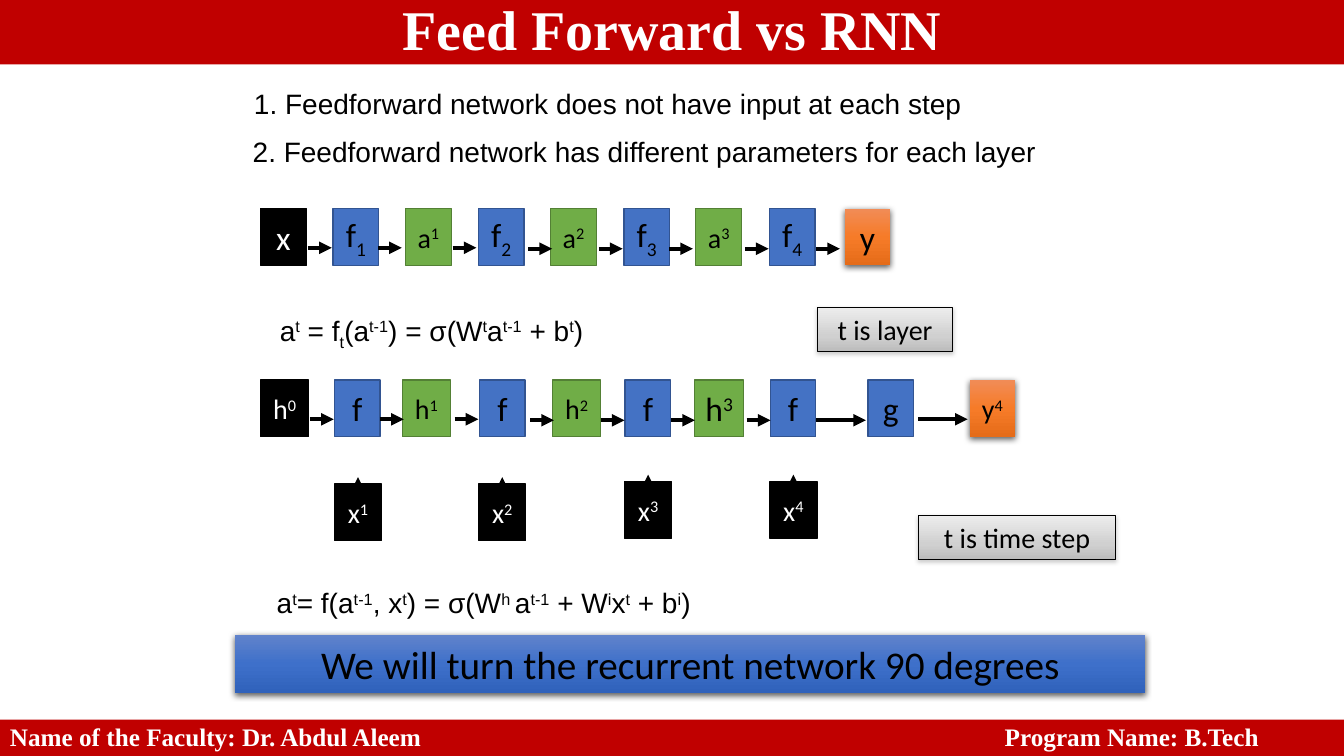
from lxml import etree
from pptx import Presentation
from pptx.dml.color import RGBColor
from pptx.enum import shapes, text
from pptx.oxml.ns import qn
from pptx.util import Pt

COLORS = {
    "black": "000000", "white": "FFFFFF", "red": "C00000",
    "blue": "4472C4", "blue edge": "325491",
    "green": "70AD47", "green edge": "538035", "gray shadow": "808080",
}
# Gradient stops run from top to bottom: position in percent, colour
GRADIENTS = {
    "orange": [(0, "F18C57"), (50, "F67B28"), (100, "E56C19")],
    "silver": [(0, "EDEDED"), (65, "D0D0D0"), (100, "BCBCBC")],
    "deep blue": [(0, "6183CB"), (50, "3E70CA"), (100, "3062BB")],
}
# Shadow: colour, opacity in percent, blur and distance in points
SHADOWS = {
    "orange": ("black", 63, 4.5, 1.5),
    "deep blue": ("black", 63, 4.5, 1.5),
    "silver": ("gray shadow", 38, 3.1, 1.6),
}
EDGES = {"black": ("black", 1), "blue": ("blue edge", 1),
         "green": ("green edge", 1), "silver": ("black", 0.75)}
BASELINES = {"^": "30000", "_": "-25000"}
CENTER, LEFT = text.PP_ALIGN.CENTER, text.PP_ALIGN.LEFT
MIDDLE, TOP = text.MSO_ANCHOR.MIDDLE, text.MSO_ANCHOR.TOP


def add_box(words, place, fill, size, font="Calibri", color="black",
            align=CENTER, anchor=MIDDLE):
    """Add a rectangle; '|' parts its runs, '^' raises and '_' lowers a run."""
    box = page.shapes.add_shape(shapes.MSO_SHAPE.RECTANGLE, *map(Pt, place))
    box.shadow.inherit = False
    properties = box._element.spPr
    if fill in GRADIENTS:
        box.fill.gradient()
        box.fill.gradient_angle = 270
        stops = properties.find(qn("a:gradFill")).find(qn("a:gsLst"))
        for stop in list(stops):
            stops.remove(stop)
        for position, shade in GRADIENTS[fill]:
            stop = etree.SubElement(stops, qn("a:gs"), pos=str(position * 1000))
            etree.SubElement(stop, qn("a:srgbClr"), val=shade)
        shade, opacity, blur, distance = SHADOWS[fill]
        shadow = etree.SubElement(
            properties.find(qn("a:effectLst")), qn("a:outerShdw"),
            blurRad=str(Pt(blur)), dist=str(Pt(distance)), dir="5400000", rotWithShape="0")
        tint = etree.SubElement(shadow, qn("a:srgbClr"), val=COLORS[shade])
        etree.SubElement(tint, qn("a:alpha"), val=str(opacity * 1000))
    elif fill:
        box.fill.solid()
        box.fill.fore_color.rgb = RGBColor.from_string(COLORS[fill])
    else:
        box.fill.background()
    if fill in EDGES:
        edge, width = EDGES[fill]
        box.line.color.rgb = RGBColor.from_string(COLORS[edge])
        box.line.width = Pt(width)
    else:
        box.line.fill.background()
    frame = box.text_frame
    frame.word_wrap = True
    frame.vertical_anchor = anchor
    para = frame.paragraphs[0]
    para.alignment = align
    for part in words.split("|"):
        span = para.add_run()
        span.text = part.lstrip("^_")
        span.font.size = Pt(size)
        span.font.name = font
        span.font.color.rgb = RGBColor.from_string(COLORS[color])
        if part[0] in BASELINES:
            span.font._element.set("baseline", BASELINES[part[0]])
    return box


def add_arrow(x1, y1, x2, y2):
    arrow = page.shapes.add_connector(
        shapes.MSO_CONNECTOR.STRAIGHT, Pt(x1), Pt(y1), Pt(x2), Pt(y2))
    arrow.line.width = Pt(3)
    arrow.line.color.rgb = RGBColor.from_string(COLORS["black"])
    etree.SubElement(arrow.line._get_or_add_ln(), qn("a:tailEnd"), type="triangle")
    etree.SubElement(arrow._element.spPr, qn("a:effectLst"))
    return arrow


deck = Presentation()
deck.slide_width, deck.slide_height = Pt(960), Pt(540)
page = deck.slides.add_slide(deck.slide_layouts[6])

# Cells of both networks: words, left, top, width, fill, text size
FORWARD_TOP, RECURRENT_TOP, CELL_HEIGHT = 149, 271.5, 40.5
cells = [("x", 186, FORWARD_TOP, 33, "black", 24),
         ("y", 603.4, FORWARD_TOP, 32.5, "orange", 24)]
for step in range(1, 5):
    cells.append((f"f|_{step}", 134 + 103.9 * step, FORWARD_TOP, 32.5, "blue", 24))
for step in range(1, 4):
    cells.append((f"a|^{step}", 185.8 + 103.7 * step, FORWARD_TOP, 33, "green", 20))
for words, left, width, fill, size in [
        ("h|^0", 186, 34.5, "black", 20), ("f", 239, 32.5, "blue", 24),
        ("h|^1", 287.3, 34.5, "green", 20), ("f", 342.6, 32.5, "blue", 24),
        ("h|^2", 394.6, 34.5, "green", 20), ("f", 446.5, 32.5, "blue", 24),
        ("h|^3", 496, 35.3, "green", 24), ("f", 550.2, 32.5, "blue", 24),
        ("g", 620, 32.5, "blue", 24), ("y|^4", 692.6, 32.5, "orange", 20)]:
    cells.append((words, left, RECURRENT_TOP, width, fill, size))
inputs = [("x|^1", 239, 345.8), ("x|^2", 342, 345.8),
          ("x|^3", 446.2, 344), ("x|^4", 550, 344)]
for words, left, top in inputs:
    cells.append((words, left, top, 33.5, "black", 20))

for words, left, top, width, fill, size in cells:
    cell = add_box(words, (left, top, width, CELL_HEIGHT), fill, size,
                   color="white" if fill == "black" else "black")
    cell.text_frame.margin_left = cell.text_frame.margin_right = 0
    if top > RECURRENT_TOP:
        center = left + width / 2
        arrow = add_arrow(center, top, center, top - 5)
        arrow.begin_connect(cell, 0)

# Arrows along each network
for index, start in enumerate([220, 270, 323.3, 377.3, 427.7, 478, 532, 583]):
    y = 177 if index < 3 else 177.7
    add_arrow(start, y, start + 17, y)
    if index < 7:
        add_arrow(start + 1.4, y + 122.5, start + 18.4, y + 122.5)
add_arrow(583.2, 300.2, 618.5, 300.2)
add_arrow(656, 299.5, 691.2, 299.5)

for words, place, fill, size in [
        ("t is layer", (584, 219.6, 96.5, 31.5), "silver", 20),
        ("t is time step", (656, 368.2, 141, 31.5), "silver", 20),
        ("We will turn the recurrent network 90 degrees",
         (168, 453.6, 650, 41.2), "deep blue", 28)]:
    add_box(words, place, fill, size, anchor=TOP)

for words, left, top, width in [
        ("1. Feedforward network does not have input at each step", 174.3, 58.5, 636),
        ("2. Feedforward network has different parameters for each layer", 173.4, 92.2, 644),
        ("a|^t| = f|_t|(a|^t-1|) = σ(W|^t|a|^t-1| + b|^t|)", 192.8, 220.2, 254),
        ("a|^t|= f(a|^t-1|, x|^t|) = σ(W|^h |a|^t-1| + W|^i|x|^t| + b|^i|)",
         190.6, 414.8, 360)]:
    add_box(words, (left, top, width, 31.5), None, 20, "Arial", align=LEFT, anchor=TOP)

title = add_box("Feed Forward vs RNN", (0, 0, 960, 46), "red", 40,
                "Times New Roman", "white")
footer = add_box("Name of the Faculty: Dr. Abdul Aleem\tProgram Name: B.Tech",
                 (0, 514, 960, 26), "red", 18, "Times New Roman", "white", LEFT, TOP)
for banner in (title, footer):
    para = banner.text_frame.paragraphs[0]
    para.line_spacing = 0.9
    para.runs[0].font.bold = True
tabs = etree.SubElement(footer.text_frame.paragraphs[0]._p.get_or_add_pPr(), qn("a:tabLst"))
etree.SubElement(tabs, qn("a:tab"), pos=str(Pt(710.6)), algn="l")

deck.save("out.pptx")
